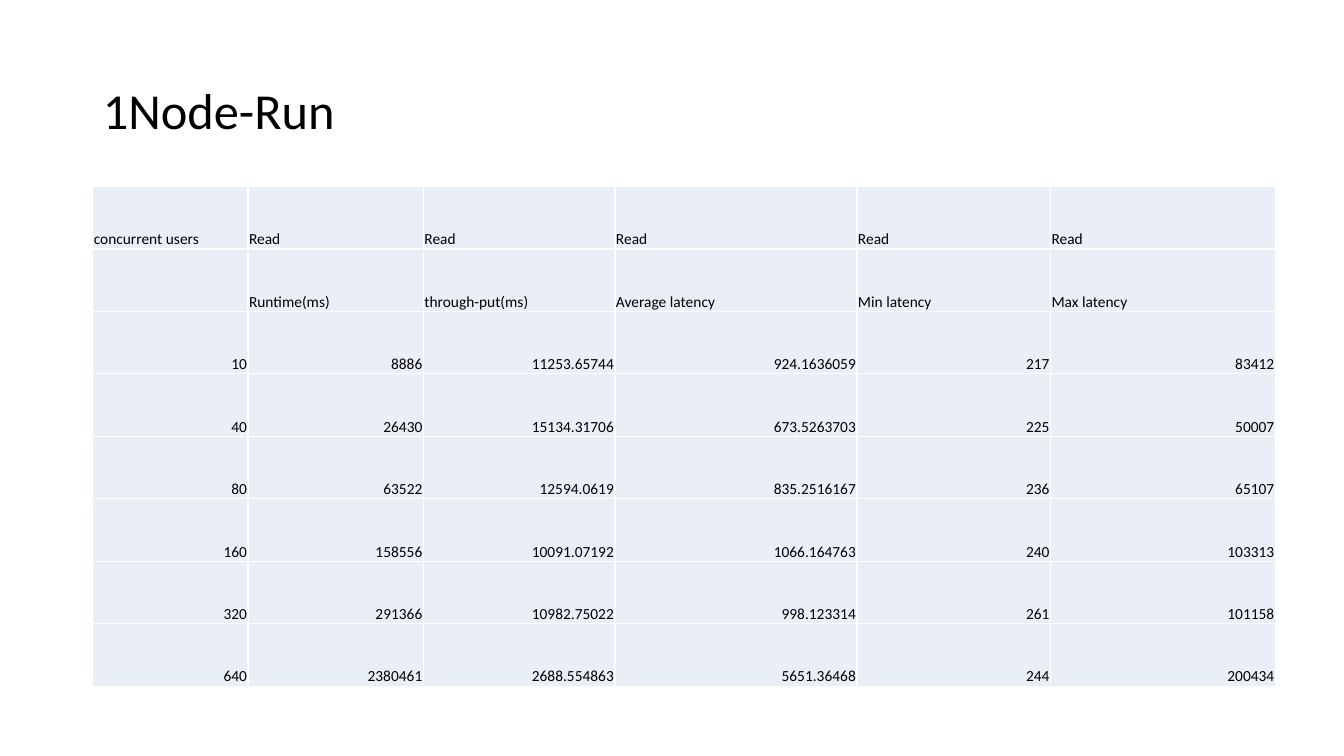
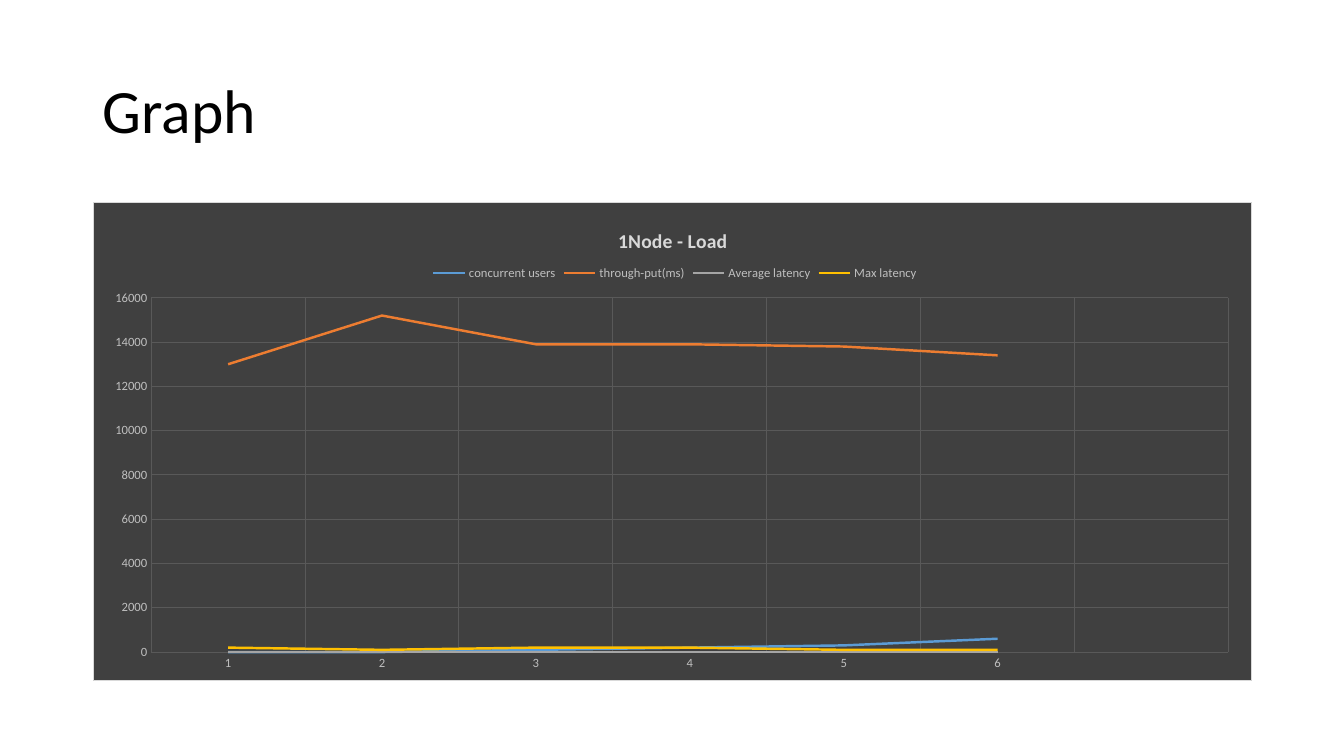
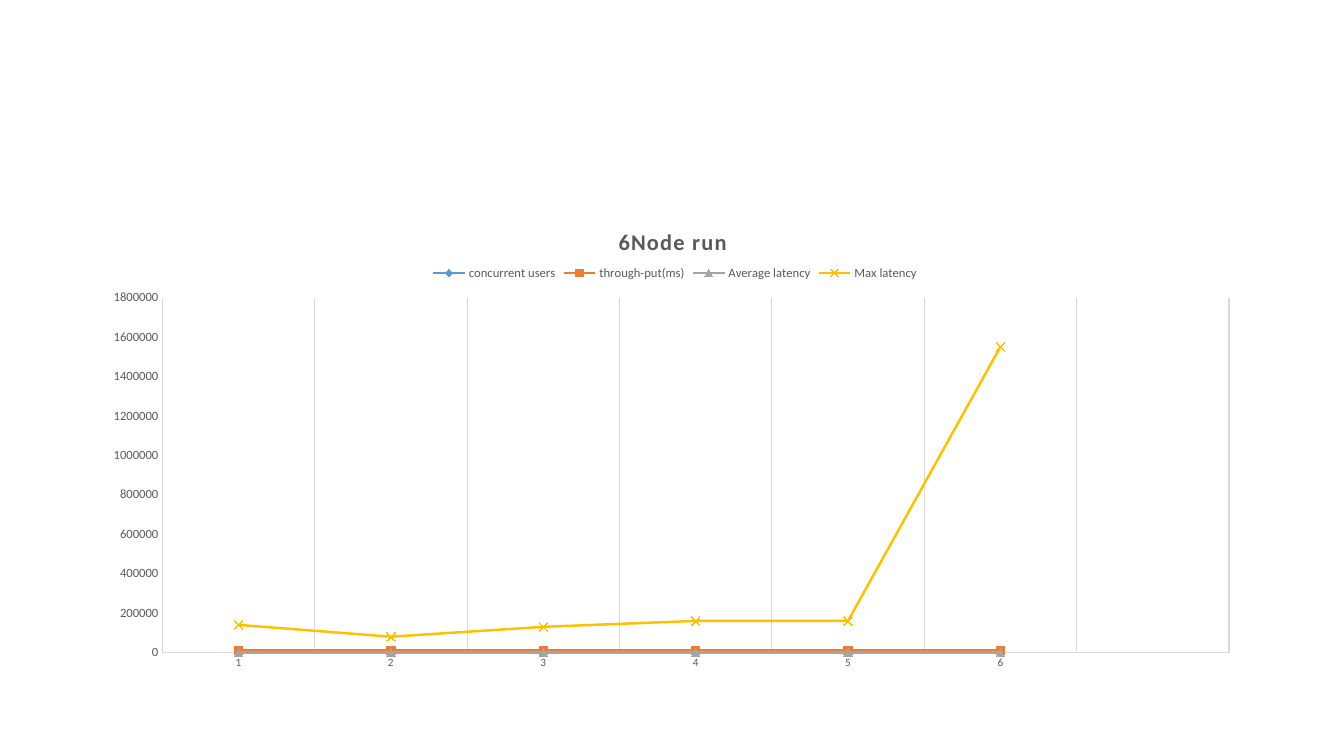
"""Build three slides of load-test results: a table and two line charts."""
from dataclasses import dataclass

from lxml import etree
from pptx import Presentation
from pptx import util as u
from pptx.chart import data
from pptx.dml.color import RGBColor
from pptx.enum import chart as ce
from pptx.enum import text
from pptx.oxml import ns

PX = 9144
FONT = "Calibri"
HUES = {
    "black": "000000", "white": "FFFFFF", "cell": "EAEFF7",
    "dark": "404040", "grid": "595959", "pale": "D9D9D9", "soft": "BFBFBF",
    "blue": "5B9BD5", "orange": "ED7D31", "gray": "A5A5A5", "gold": "FFC000",
}
COLS = (154, 174, 190, 240, 192, 223)
ROW = 62
LEFT, WIDTH = 92, 1150
ROWS = (
    ("concurrent users",) + ("Read",) * 5,
    ("", "Runtime(ms)", "through-put(ms)", "Average latency", "Min latency", "Max latency"),
    ("10", "8886", "11253.65744", "924.1636059", "217", "83412"),
    ("40", "26430", "15134.31706", "673.5263703", "225", "50007"),
    ("80", "63522", "12594.0619", "835.2516167", "236", "65107"),
    ("160", "158556", "10091.07192", "1066.164763", "240", "103313"),
    ("320", "291366", "10982.75022", "998.123314", "261", "101158"),
    ("640", "2380461", "2688.554863", "5651.36468", "244", "200434"),
)
MARK = ce.XL_MARKER_STYLE


@dataclass(frozen=True)
class Line:
    """A named series with its colour and marker."""
    name: str
    hue: str
    mark: MARK


@dataclass(frozen=True)
class Graph:
    """The values and look of one line chart."""
    title: str
    vals: tuple
    top: int
    step: int
    size: int
    space: int
    head: str
    ink: str
    grid: str
    plot: tuple
    cat: int
    dark: bool


LINES = (
    Line("concurrent users", "blue", MARK.DIAMOND),
    Line("through-put(ms)", "orange", MARK.SQUARE),
    Line("Average latency", "gray", MARK.TRIANGLE),
    Line("Max latency", "gold", MARK.X),
)
LOAD = Graph(
    "1Node - Load",
    ((0, 0, 100, 200, 300, 600), (13000, 15200, 13900, 13900, 13800, 13400),
     (0,) * 6, (200, 100, 200, 200, 100, 100)),
    16000, 2000, 14, 0, "pale", "soft", "grid", (0.05, 0.2, 0.93, 0.74), 9, True)
RUN = Graph(
    "6Node run",
    ((0,) * 6, (10000,) * 6, (0,) * 6,
     (140000, 80000, 130000, 160000, 160000, 1550000)),
    1800000, 200000, 16, 100, "grid", "grid", "pale", (0.06, 0.2, 0.92, 0.74), 8, False)


def px(num: int) -> u.Emu:
    """Turn pixels into EMU."""
    return u.Emu(num * PX)


def rgb(hue: str) -> RGBColor:
    """Look up a colour."""
    return RGBColor.from_string(HUES[hue])


def style(font, size: int, hue: str) -> None:
    """Set the face, size and colour of a font."""
    font.name, font.size = FONT, u.Pt(size)
    font.color.rgb = rgb(hue)


def stroke(line, hue: str, width: float = 0.75) -> None:
    """Set the colour and width of a line."""
    line.color.rgb = rgb(hue)
    line.width = u.Pt(width)


def outline(tag: str, hue: str, width: float) -> etree._Element:
    """Make a solid DrawingML line."""
    line = etree.Element(ns.qn(tag), w=str(u.Pt(width)))
    fill = etree.SubElement(line, ns.qn("a:solidFill"))
    etree.SubElement(fill, ns.qn("a:srgbClr"), val=HUES[hue])
    return line


def heading(slide, words: str, size: int) -> None:
    """Fill and place the title."""
    box = slide.shapes.title
    box.left, box.top, box.width, box.height = map(px, (LEFT, 40, WIDTH, 145))
    frame = box.text_frame
    frame.text = words
    frame.vertical_anchor = text.MSO_ANCHOR.MIDDLE
    para = frame.paragraphs[0]
    para.alignment = text.PP_ALIGN.LEFT
    para.line_spacing = 0.9
    style(para.font, size, "black")


def grid(slide) -> None:
    """Draw the table of results."""
    table = slide.shapes.add_table(
        len(ROWS), len(COLS), px(LEFT), px(185), px(sum(COLS)), px(ROW * len(ROWS))).table
    table.first_row = table.horz_banding = False
    for col, width in zip(table.columns, COLS):
        col.width = px(width)
    for y, row in enumerate(ROWS):
        table.rows[y].height = px(ROW)
        for x, words in enumerate(row):
            cell = table.cell(y, x)
            cell.text = words
            cell.margin_left = cell.margin_right = cell.margin_top = px(1)
            cell.margin_bottom = 0
            cell.vertical_anchor = text.MSO_ANCHOR.BOTTOM
            cell.fill.solid()
            cell.fill.fore_color.rgb = rgb("cell")
            para = cell.text_frame.paragraphs[0]
            para.alignment = text.PP_ALIGN.RIGHT if y > 1 else text.PP_ALIGN.LEFT
            style(para.font, 11, "black")
            props = cell._tc.get_or_add_tcPr()
            for n, side in enumerate("LRTB"):
                props.insert(n, outline(f"a:ln{side}", "white", 1))


def place(node, spot: int, dims: tuple, inner: bool = False) -> None:
    """Give a chart part a fixed layout."""
    for old in node.findall(ns.qn("c:layout")):
        node.remove(old)
    lay = etree.Element(ns.qn("c:layout"))
    node.insert(spot, lay)
    man = etree.SubElement(lay, ns.qn("c:manualLayout"))
    pairs = [("layoutTarget", "inner")] if inner else []
    pairs += [("xMode", "edge"), ("yMode", "edge")]
    pairs += zip("xywh", map(str, dims))
    for tag, val in pairs:
        etree.SubElement(man, ns.qn(f"c:{tag}"), val=val)


def frame(chart, dark: bool) -> None:
    """Fill and border the chart area."""
    props = etree.Element(ns.qn("c:spPr"))
    if dark:
        fill = etree.SubElement(props, ns.qn("a:solidFill"))
        etree.SubElement(fill, ns.qn("a:srgbClr"), val=HUES["dark"])
        props.append(outline("a:ln", "pale", 0.75))
    else:
        etree.SubElement(props, ns.qn("a:noFill"))
        line = etree.SubElement(props, ns.qn("a:ln"))
        etree.SubElement(line, ns.qn("a:noFill"))
    chart._chartSpace.find(ns.qn("c:chart")).addnext(props)


def axes(chart, graph: Graph) -> None:
    """Format both axes."""
    val, cat = chart.value_axis, chart.category_axis
    val.minimum_scale, val.maximum_scale, val.major_unit = 0, graph.top, graph.step
    val.has_major_gridlines, cat.has_major_gridlines = graph.dark, True
    for axis, size in ((val, 9), (cat, graph.cat)):
        axis.major_tick_mark = axis.minor_tick_mark = ce.XL_TICK_MARK.NONE
        style(axis.tick_labels.font, size, graph.ink)
        if axis.has_major_gridlines:
            stroke(axis.major_gridlines.format.line, graph.grid)
        if graph.dark:
            axis.format.line.fill.background()
        else:
            stroke(axis.format.line, "pale")


def plot(slide, graph: Graph) -> None:
    """Draw a line chart."""
    feed = data.CategoryChartData(number_format="General")
    feed.categories = ["1", "2", "3", "4", "5", "6", ""]
    for line, vals in zip(LINES, graph.vals):
        feed.add_series(line.name, (*vals, None))
    kind = ce.XL_CHART_TYPE.LINE if graph.dark else ce.XL_CHART_TYPE.LINE_MARKERS
    chart = slide.shapes.add_chart(
        kind, px(LEFT), px(200), px(WIDTH), px(476), feed).chart
    style(chart.font, 10, "black")
    frame(chart, graph.dark)
    chart.has_title = True
    title = chart.chart_title
    title.text_frame.text = graph.title
    run = title.text_frame.paragraphs[0].runs[0]
    style(run.font, graph.size, graph.head)
    run.font.bold = True
    run.font._element.set("spc", str(graph.space))
    title.include_in_layout = False
    place(title._element, 1, (0.45, 0.045))
    chart.has_legend = True
    key = chart.legend
    key.position = ce.XL_LEGEND_POSITION.TOP
    key.include_in_layout = False
    style(key.font, 9, graph.ink)
    place(key._element, 1, (0.29, 0.125))
    place(chart._chartSpace.chart.plotArea, 0, graph.plot, True)
    axes(chart, graph)
    chart.plots[0].vary_by_categories = False
    for line, ser in zip(LINES, chart.plots[0].series):
        ser.smooth = False
        stroke(ser.format.line, line.hue, 1.75)
        if graph.dark:
            ser.marker.style = MARK.NONE
            continue
        ser.marker.style, ser.marker.size = line.mark, 6
        fill = ser.marker.format.fill
        if line.mark == MARK.X:
            fill.background()
        else:
            fill.solid()
            fill.fore_color.rgb = rgb(line.hue)
        stroke(ser.marker.format.line, line.hue)


def main() -> None:
    """Build and save the deck."""
    deck = Presentation()
    deck.slide_width, deck.slide_height = px(1333), px(750)
    named, blank = deck.slide_layouts[5], deck.slide_layouts[6]
    first, second, third = (deck.slides.add_slide(lay) for lay in (named, named, blank))
    heading(first, "1Node-Run", 36)
    grid(first)
    heading(second, "Graph", 44)
    plot(second, LOAD)
    plot(third, RUN)
    deck.save("out.pptx")


if __name__ == "__main__":
    main()
